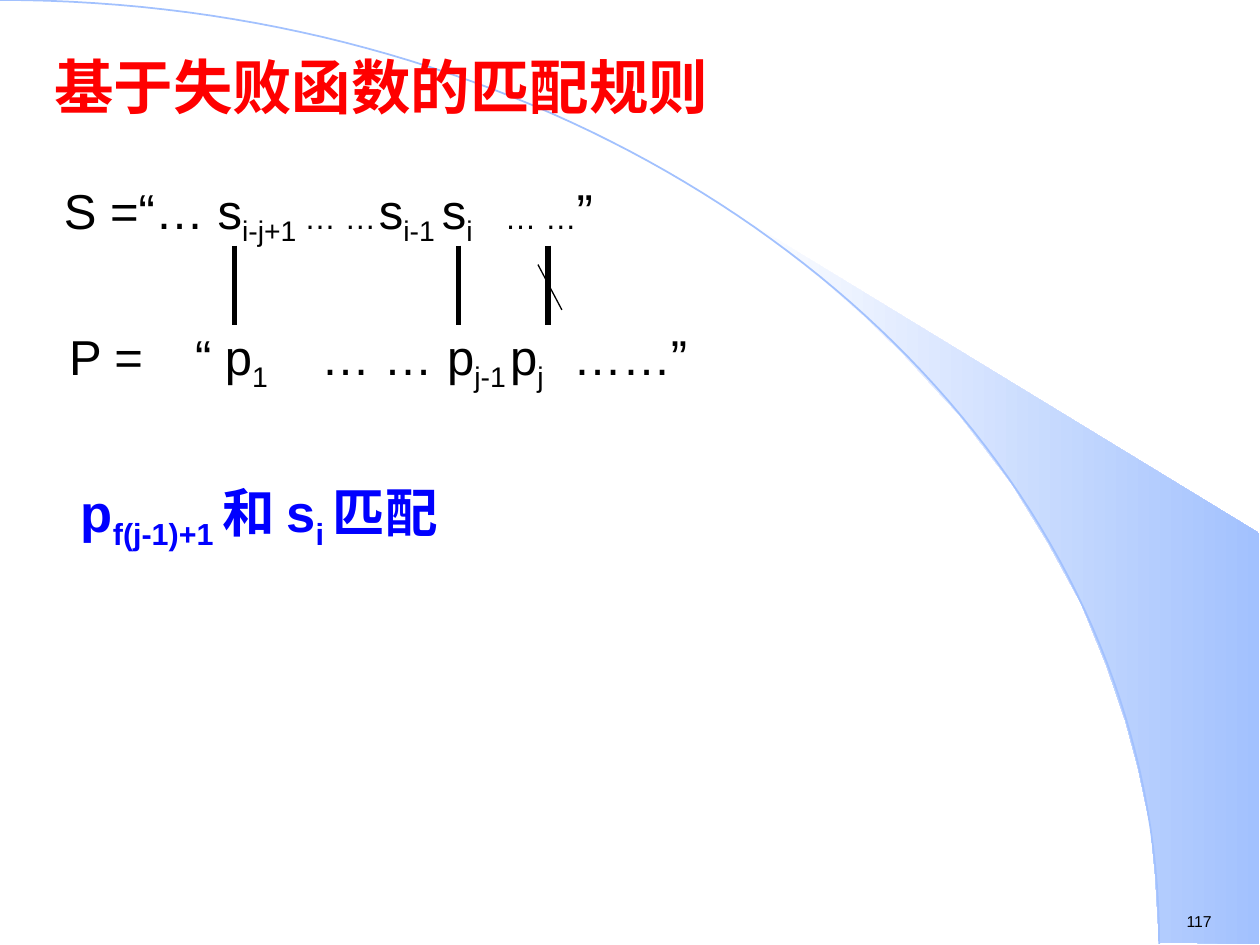
from lxml.etree import SubElement
from pptx import Presentation
from pptx.dml.color import RGBColor
from pptx.enum.shapes import MSO_CONNECTOR
from pptx.enum.text import MSO_ANCHOR, MSO_AUTO_SIZE, PP_ALIGN
from pptx.oxml.ns import qn
from pptx.util import Pt

BLACK, RED, BLUE, SKY, WHITE = "000000", "FF0000", "0000FF", "A2C1FE", "FFFFFF"

# Outline of the shaded area right of the arc
WEDGE = [(662.4, 538.6), (719.3, 539.3), (719.3, 304.6), (424, 124.6),
         (449.3, 143.3), (470.2, 159.8), (493.2, 180), (515.5, 201.6),
         (548.6, 237.6), (578.2, 276.5), (599, 310.3), (617.8, 344.9),
         (632.2, 380.2), (643, 411.8), (650.2, 438.5), (657.4, 472.3),
         (660.2, 501.1)]


def color(value):
    return RGBColor.from_string(value)


def write(shape, parts, size, ink=BLACK, font="Arial", bold=False, wrap=True,
          tabs=(), indent=0):
    """Write (text, subscript, size) parts as one paragraph; size may be None."""
    frame = shape.text_frame
    frame.word_wrap = wrap
    frame.auto_size = MSO_AUTO_SIZE.NONE
    frame.vertical_anchor = MSO_ANCHOR.TOP
    paragraph = frame.paragraphs[0]
    paragraph.alignment = PP_ALIGN.LEFT
    paragraph.space_before = Pt(0)
    props = paragraph._p.get_or_add_pPr()
    props.set("marL", str(Pt(indent)))
    props.set("indent", "0")
    SubElement(props, qn("a:buNone"))
    if tabs:
        stops = SubElement(props, qn("a:tabLst"))
        for stop in tabs:
            SubElement(stops, qn("a:tab"), pos=str(Pt(stop)), algn="l")
    for text, subscript, own_size in parts:
        run = paragraph.add_run()
        run.text = text
        run.font.name = font
        run.font.size = Pt(own_size or size)
        run.font.bold = bold
        run.font.color.rgb = color(ink)
        if subscript:
            run.font._element.set("baseline", "-25000")


def place(shape, left, top, width, height):
    shape.left, shape.top = Pt(left), Pt(top)
    shape.width, shape.height = Pt(width), Pt(height)
    return shape


def text_box(slide, left, top, width, height):
    return slide.shapes.add_textbox(Pt(left), Pt(top), Pt(width), Pt(height))


def outline(slide, points, closed, layer):
    """Draw a freeform and move it behind the placeholders."""
    start, *rest = [(Pt(x), Pt(y)) for x, y in points]
    builder = slide.shapes.build_freeform(*start)
    builder.add_line_segments(rest, close=closed)
    shape = builder.convert_to_shape()
    shape.shadow.inherit = False
    slide.shapes.element.insert(2 + layer, shape._element)
    return shape


def bezier(a, b, c, d, steps=80):
    def at(t):
        weights = (1 - t) ** 3, 3 * t * (1 - t) ** 2, 3 * t ** 2 * (1 - t), t ** 3
        return tuple(sum(w * p[axis] for w, p in zip(weights, (a, b, c, d)))
                     for axis in (0, 1))
    return [at(step / steps) for step in range(steps + 1)]


def stroke(slide, x1, y1, x2, y2, width):
    line = slide.shapes.add_connector(MSO_CONNECTOR.STRAIGHT,
                                      Pt(x1), Pt(y1), Pt(x2), Pt(y2))
    line.line.color.rgb = color(BLACK)
    line.line.width = Pt(width)
    SubElement(line._element.spPr, qn("a:effectLst"))


def backdrop(slide):
    wedge = outline(slide, WEDGE, closed=True, layer=0)
    wedge.fill.gradient()
    wedge.fill.gradient_angle = 0
    for stop, shade, position in zip(wedge.fill.gradient_stops, (WHITE, SKY), (0, 1)):
        stop.color.rgb = color(shade)
        stop.position = position
    wedge.line.fill.background()
    arc = outline(slide, bezier((0, 0), (365.8, 0), (662.4, 241.2), (662.4, 539.3)),
                  closed=False, layer=1)
    arc.fill.background()
    arc.line.color.rgb = color(SKY)
    arc.line.width = Pt(1)


def main():
    deck = Presentation()
    deck.slide_width, deck.slide_height = Pt(720), Pt(540)
    slide = deck.slides.add_slide(deck.slide_layouts[1])
    backdrop(slide)

    # Title and conclusion
    title, conclusion = slide.placeholders
    write(place(title, 23.8, 25.2, 581, 48.2), [("基于失败函数的匹配规则", False, None)],
          size=34, ink=RED, font="Times New Roman", bold=True)
    write(place(conclusion, 22.3, 270.7, 581, 48.2),
          [("p", False, None), ("f(j-1)+1 ", True, None), ("和 s", False, None),
           ("i ", True, None), ("匹配", False, None)],
          size=30, ink=BLUE, bold=True, indent=16.7)

    # Main string and pattern
    write(text_box(slide, 29.5, 99.5, 581, 45.4),
          [("S =“… s", False, None), ("i-j+1 ", True, None), ("… …", False, 18),
           ("\ts", False, None), ("i-1", True, None), ("\ts", False, None),
           ("i", True, None), ("\t… …", False, 18), ("”", False, None)],
          size=28, tabs=(206, 254, 293))
    write(text_box(slide, 32.4, 183, 598.3, 45.4),
          [("P =\t“ p", False, None), ("1", True, None), ("\t… …\tp", False, None),
           ("j-1", True, None), ("\tp", False, None), ("j", True, None),
           ("\t……”", False, None)],
          size=28, tabs=(65, 122, 209, 258, 301))

    # Matching pairs, the last one struck out
    for x in (133.9, 262.1, 313.2):
        stroke(slide, x, 140.4, x, 185.8, width=3)
    stroke(slide, 307.4, 151.2, 321.1, 177.1, width=0.75)

    # Page number
    write(text_box(slide, 671, 517.7, 55.4, 18), [("117", False, None)],
          size=9, wrap=False)
    deck.save("out.pptx")


if __name__ == "__main__":
    main()
